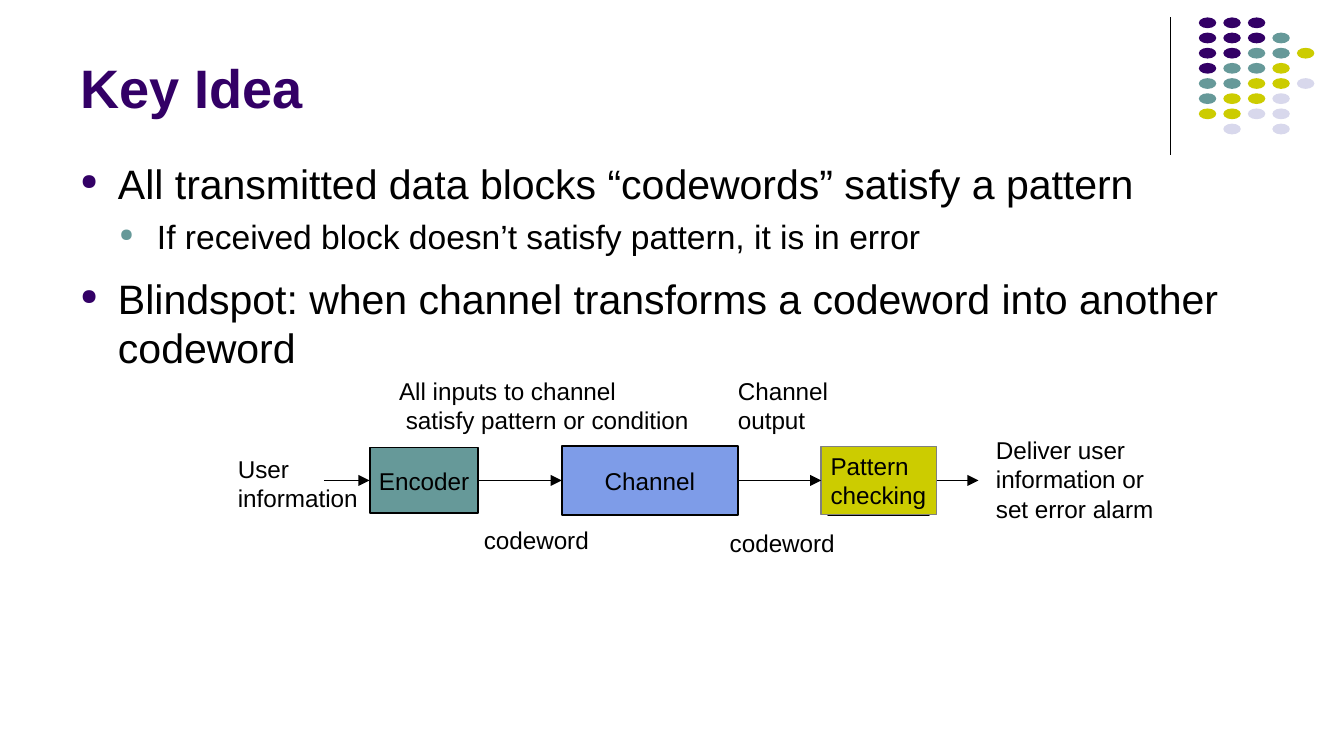
from lxml import etree
from pptx import Presentation
from pptx.dml.color import RGBColor
from pptx.enum.shapes import MSO_CONNECTOR, MSO_SHAPE
from pptx.enum.text import MSO_ANCHOR, PP_ALIGN
from pptx.oxml.ns import qn
from pptx.util import Inches, Pt

STRAIGHT = MSO_CONNECTOR.STRAIGHT
RECTANGLE, OVAL = MSO_SHAPE.RECTANGLE, MSO_SHAPE.OVAL
LEFT, CENTER = PP_ALIGN.LEFT, PP_ALIGN.CENTER
TOP, MIDDLE, BOTTOM = MSO_ANCHOR.TOP, MSO_ANCHOR.MIDDLE, MSO_ANCHOR.BOTTOM
COLORS = {
    "purple": "330066", "teal": "669999", "olive": "CCCC00", "lilac": "D8D8EC",
    "blue": "7E9CE8", "black": "000000", "gray": "808080",
}
RGB = {name: RGBColor.from_string(code) for name, code in COLORS.items()}

deck = Presentation()
deck.slide_width, deck.slide_height = Inches(10), Inches(10) * 9 // 16
page = deck.slides.add_slide(deck.slide_layouts[6])


def write(box, lines, size=13, color="black", bold=False, align=LEFT,
          anchor=TOP, wrap=False, inset=(0.07, 0.04)):
    frame = box.text_frame
    frame.word_wrap = wrap
    frame.vertical_anchor = anchor
    frame.margin_left = frame.margin_right = Inches(inset[0])
    frame.margin_top = frame.margin_bottom = Inches(inset[1])
    for index, line in enumerate(lines):
        para = frame.paragraphs[0] if index == 0 else frame.add_paragraph()
        para.alignment = align
        span = para.add_run()
        span.text = line
        span.font.name = "Arial"
        span.font.size = Pt(size)
        span.font.bold = bold
        span.font.color.rgb = RGB[color]
    return frame


def add_line(start, end, width=1, arrow=True):
    line = page.shapes.add_connector(STRAIGHT, *start, *end)
    line.line.color.rgb = RGB["black"]
    line.line.width = Pt(width)
    if arrow:
        etree.SubElement(line.line._get_or_add_ln(), qn("a:tailEnd"), type="triangle")
    etree.SubElement(line._element.spPr, qn("a:effectLst"))
    return line


add_line((Inches(8.71), Inches(0.13)), (Inches(8.71), Inches(1.15)), 0.75, False)

dot_colors = {"P": "purple", "T": "teal", "O": "olive", "L": "lilac"}
dot_rows = ["PPP", "PPPT", "PPTTO", "PTTO", "TTOOL", "TOOL", "OOLL", " L L"]
for row, marks in enumerate(dot_rows):
    for column, mark in enumerate(marks):
        if mark == " ":
            continue
        dot = page.shapes.add_shape(
            OVAL, Inches(8.92) + column * Inches(0.73) // 4,
            Inches(0.13) + row * Inches(0.79) // 7, Inches(0.13), Inches(0.08))
        dot.shadow.inherit = False
        dot.fill.solid()
        dot.fill.fore_color.rgb = RGB[dot_colors[mark]]
        dot.line.fill.background()

title = page.shapes.add_textbox(Inches(0.5), Inches(0.1), Inches(8.25), Inches(0.84))
write(title, ["Key Idea"], 29, "purple", True, anchor=BOTTOM, wrap=True, inset=(0.1, 0.05))

blocks = {}
for name, left, top, width, height, fill, edge, edge_width, lines, align in [
    ("encoder", 2.75, 3.33, 0.81, 0.49, "teal", "black", 1, ["Encoder"], CENTER),
    ("channel", 4.18, 3.32, 1.31, 0.51, "blue", "black", 1, ["Channel"], CENTER),
    ("frame", 6.16, 3.34, 0.75, 0.49, None, "black", 1, [], LEFT),
    ("checker", 6.11, 3.32, 0.86, 0.51, "olive", "gray", 0.75, ["Pattern", "checking"], LEFT),
]:
    block = page.shapes.add_shape(
        RECTANGLE, Inches(left), Inches(top), Inches(width), Inches(height))
    block.shadow.inherit = False
    if fill:
        block.fill.solid()
        block.fill.fore_color.rgb = RGB[fill]
    else:
        block.fill.background()
    block.line.color.rgb = RGB[edge]
    block.line.width = Pt(edge_width)
    write(block, lines, align=align, anchor=MIDDLE)
    blocks[name] = block

middle = blocks["channel"].top + blocks["channel"].height // 2
for start, end, source, target in [
    (2.41, 2.75, None, "encoder"),
    (3.56, 4.18, "encoder", "channel"),
    (5.49, 6.11, "channel", "checker"),
    (6.97, 7.28, "checker", None),
]:
    arrow = add_line((Inches(start), middle), (Inches(end), middle))
    if source:
        arrow.begin_connect(blocks[source], 3)
    if target:
        arrow.end_connect(blocks[target], 1)

for left, top, width, height, lines in [
    (1.7, 3.34, 1.04, 0.51, ["User", "information"]),
    (2.9, 2.76, 2.3, 0.51, ["All inputs to channel", " satisfy pattern or condition"]),
    (5.42, 2.76, 0.82, 0.51, ["Channel", "output"]),
    (7.34, 3.2, 1.41, 0.72, ["Deliver user", "information or", "set error alarm"]),
    (3.53, 3.87, 0.93, 0.51, ["codeword"]),
    (5.36, 3.89, 0.93, 0.51, ["codeword"]),
]:
    label = page.shapes.add_textbox(Inches(left), Inches(top), Inches(width), Inches(height))
    write(label, lines)

points = [
    ("All transmitted data blocks “codewords” satisfy a pattern", 0, 5.5),
    ("If received block doesn’t satisfy pattern, it is in error", 1, 4.5),
    ("Blindspot: when channel transforms a codeword into another codeword", 0, 9),
]
body = page.shapes.add_textbox(Inches(0.5), Inches(1.13), Inches(9.07), Inches(2.37))
frame = write(body, [text for text, level, before in points], 22, wrap=True, inset=(0.1, 0.05))
for para, (text, level, before) in zip(frame.paragraphs, points):
    para.level = level
    para.space_before = Pt(before)
    para.runs[0].font.size = Pt((22, 18)[level])
    properties = para._p.get_or_add_pPr()
    properties.set("marL", str(Inches((0.28, 0.57)[level])))
    properties.set("indent", str(Inches(-0.28)))
    bullet_color = etree.SubElement(properties, qn("a:buClr"))
    etree.SubElement(bullet_color, qn("a:srgbClr"), val=COLORS[("purple", "teal")[level]])
    etree.SubElement(properties, qn("a:buSzPct"), val="54000")
    etree.SubElement(properties, qn("a:buChar"), char="●")

deck.save("out.pptx")
